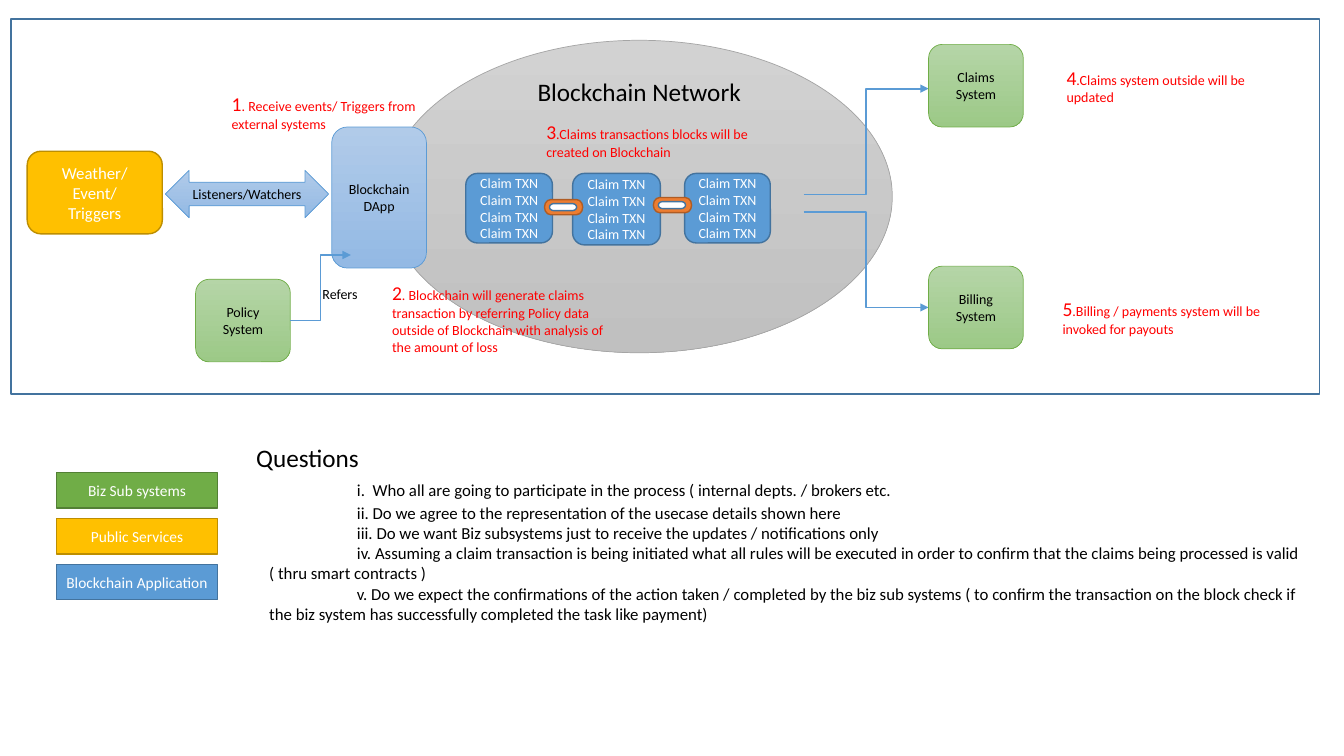
from dataclasses import dataclass
from lxml import etree
from pptx import Presentation
from pptx import util as u
from pptx.dml.color import RGBColor
from pptx.enum import shapes, text
from pptx.oxml.ns import qn

In = u.Inches
Kind = shapes.MSO_SHAPE


@dataclass(frozen=True)
class Theme:
    font: str = "Calibri"
    black: str = "000000"
    white: str = "FFFFFF"
    red: str = "FF0000"
    blue: str = "5B9BD5"
    navy: str = "43739E"
    green: str = "70AD47"
    moss: str = "538035"
    gold: str = "FFC000"
    ochre: str = "BD8E00"
    orange: str = "ED7D31"
    rust: str = "AF5C24"
    gray: str = "A5A5A5"
    mint: tuple = ("B5D5A7", "9CC987")
    sky: tuple = ("B1CBE9", "93B9E4")
    silver: tuple = ("D2D2D2", "C0C0C0")
    head: int = 18
    step: int = 14
    item: int = 12
    key: int = 11
    small: int = 10


class Board:
    def __init__(self, slide, theme):
        self.slide = slide
        self.t = theme

    def style(self, para, size, color):
        para.font.name = self.t.font
        para.font.size = u.Pt(size)
        para.font.color.rgb = RGBColor.from_string(color)

    def shape(self, kind, at, fill, line, width=1, host=None):
        """Draw a preset shape; a pair of fill colours makes a gradient."""
        shp = (host or self.slide).shapes.add_shape(kind, *map(In, at))
        shp.shadow.inherit = False
        if isinstance(fill, tuple):
            shp.fill.gradient()
            shp.fill.gradient_angle = 270
            for stop, color in zip(shp.fill.gradient_stops, fill):
                stop.color.rgb = RGBColor.from_string(color)
        else:
            shp.fill.solid()
            shp.fill.fore_color.rgb = RGBColor.from_string(fill)
        shp.line.color.rgb = RGBColor.from_string(line)
        shp.line.width = u.Pt(width)
        return shp

    def box(self, kind, at, words, fill, line, size, color, width=1):
        """Draw a shape with centred text, one paragraph per line of words."""
        frame = self.shape(kind, at, fill, line, width).text_frame
        frame.word_wrap = True
        frame.vertical_anchor = text.MSO_ANCHOR.MIDDLE
        frame.text = words
        for para in frame.paragraphs:
            para.alignment = text.PP_ALIGN.CENTER
            self.style(para, size, color)

    def card(self, at, words, fill, line):
        self.box(Kind.ROUNDED_RECTANGLE, at, words, fill, line,
                 self.t.small, self.t.black, 0.5)

    def label(self, at, words, color, step=""):
        """Add a small text box, led by a larger step number if given."""
        frame = self.slide.shapes.add_textbox(*map(In, at)).text_frame
        frame.word_wrap = True
        para = frame.paragraphs[0]
        self.style(para, self.t.small, color)
        if step:
            run = para.add_run()
            run.text = step
            run.font.size = u.Pt(self.t.step)
        para.add_run().text = words

    def link(self, left, top):
        """Draw one chain link as a group."""
        group = self.slide.shapes.add_group_shape()
        self.shape(Kind.FLOWCHART_TERMINATOR, (left, top, 0.38, 0.15),
                   self.t.orange, self.t.rust, host=group)
        self.shape(Kind.FLOWCHART_TERMINATOR, (left + 0.05, top + 0.04, 0.27, 0.07),
                   self.t.white, self.t.navy, host=group)

    def arrow(self, *ends):
        line = self.slide.shapes.add_connector(
            shapes.MSO_CONNECTOR.ELBOW, *map(In, ends))
        line.line.color.rgb = RGBColor.from_string(self.t.blue)
        line.line.width = u.Pt(1.25)
        etree.SubElement(line.line._get_or_add_ln(), qn("a:tailEnd"), type="triangle")
        etree.SubElement(line._element.spPr, qn("a:effectLst"))

    def place(self, holder, at):
        """Move a placeholder and bring it to the front."""
        holder.left, holder.top, holder.width, holder.height = map(In, at)
        holder._element.getparent().append(holder._element)
        holder.text_frame.word_wrap = True
        holder.text_frame.auto_size = text.MSO_AUTO_SIZE.NONE
        return holder.text_frame

    def title(self, at, words):
        frame = self.place(self.slide.shapes.title, at)
        frame.vertical_anchor = text.MSO_ANCHOR.MIDDLE
        frame.text = words
        frame.paragraphs[0].alignment = text.PP_ALIGN.CENTER
        self.style(frame.paragraphs[0], self.t.head, self.t.black)

    def list(self, at, head, items):
        frame = self.place(self.slide.placeholders[1], at)
        frame.vertical_anchor = text.MSO_ANCHOR.TOP
        frame.text = "\n".join([head, *items])
        for i, para in enumerate(frame.paragraphs):
            props = para._p.get_or_add_pPr()
            props.set("marL", str(In(0.13 if i else 0)))
            props.set("indent", str(In(0.87 if i else 0)))
            etree.SubElement(props, qn("a:buNone"))
            para.line_spacing = 1.0
            para.space_before = u.Pt(5 if i == 1 else 0)
            para.space_after = u.Pt(2 if i == 1 else 0)
            self.style(para, self.t.item if i else self.t.head, self.t.black)


def main():
    deck = Presentation()
    deck.slide_width, deck.slide_height = In(13.33), In(7.5)
    t = Theme()
    b = Board(deck.slides.add_slide(deck.slide_layouts[1]), t)

    b.shape(Kind.RECTANGLE, (0.11, 0.19, 12.98, 3.72), t.white, t.navy)
    b.card((1.94, 2.77, 0.94, 0.82), "Policy System", t.mint, t.green)
    b.shape(Kind.OVAL, (3.83, 0.4, 5.02, 3.1), t.silver, t.gray, 0.5)
    b.title((4.84, 0.66, 3, 0.5), "Blockchain Network")
    b.box(Kind.ROUNDED_RECTANGLE, (0.27, 1.5, 1.34, 0.82),
          "Weather/ Event/\nTriggers", t.gold, t.ochre, t.item, t.white)
    b.box(Kind.LEFT_RIGHT_ARROW, (1.64, 1.69, 1.62, 0.47),
          "Listeners/Watchers", t.sky, t.blue, t.small, t.black, 0.5)
    b.label((3.1, 2.78, 0.62, 0.27), "Refers", t.black)

    claims = "\n".join(["Claim TXN"] * 4)
    for left, wide, high in ((4.62, 0.86, 0.69), (5.68, 0.87, 0.71), (6.79, 0.85, 0.69)):
        b.box(Kind.ROUNDED_RECTANGLE, (left, 1.72, wide, high), claims,
              t.blue, t.navy, t.small, t.white)
    b.link(5.4, 1.98)
    b.link(6.48, 1.96)

    for name, top, start, end in (("Claims", 0.44, 1.93, 0.88),
                                  ("Billing", 2.64, 2.1, 3.05)):
        b.arrow(7.97, start, 9.21, end)
        b.card((9.21, top, 0.94, 0.82), f"{name} System", t.mint, t.green)

    notes = (
        (2.2, 0.86, 0.5, ". Receive events/ Triggers from external systems"),
        (3.79, 2.74, 0.84, ". Blockchain will generate claims transaction by referring "
         "Policy data outside of Blockchain with analysis of the amount of loss"),
        (5.32, 1.14, 0.5, ".Claims transactions blocks will be created on Blockchain"),
        (10.48, 0.6, 0.5, ".Claims system outside will be updated"),
        (10.44, 2.9, 0.5, ".Billing / payments system will be invoked for payouts"),
    )
    for step, (left, top, high, words) in enumerate(notes, 1):
        b.label((left, top, 2.43, high), words, t.red, str(step))

    keys = (("Biz Sub systems", t.green, t.moss),
            ("Public Services", t.gold, t.ochre),
            ("Blockchain Application", t.blue, t.navy))
    for i, (words, fill, line) in enumerate(keys):
        b.box(Kind.RECTANGLE, (0.56, 4.69 + i * 0.455, 1.6, 0.35),
              words, fill, line, t.key, t.white)

    b.card((3.29, 1.26, 0.94, 1.4), "Blockchain DApp", t.sky, t.blue)
    b.arrow(2.88, 3.18, 3.48, 2.53)

    b.list((2.44, 4.34, 10.7, 1.92), "Questions", (
        "i.  Who all are going to participate in the process ( internal depts. / brokers etc.",
        "ii. Do we agree to the representation of the usecase details shown here",
        "iii. Do we want Biz subsystems just to receive the updates / notifications only",
        "iv. Assuming a claim transaction is being initiated what all rules will be executed "
        "in order to confirm that the claims being processed is valid ( thru smart contracts )",
        "v. Do we expect the confirmations of the action taken / completed by the biz sub "
        "systems ( to confirm the transaction on the block check if the biz system has "
        "successfully completed the task like payment)",
    ))
    deck.save("out.pptx")


if __name__ == "__main__":
    main()
